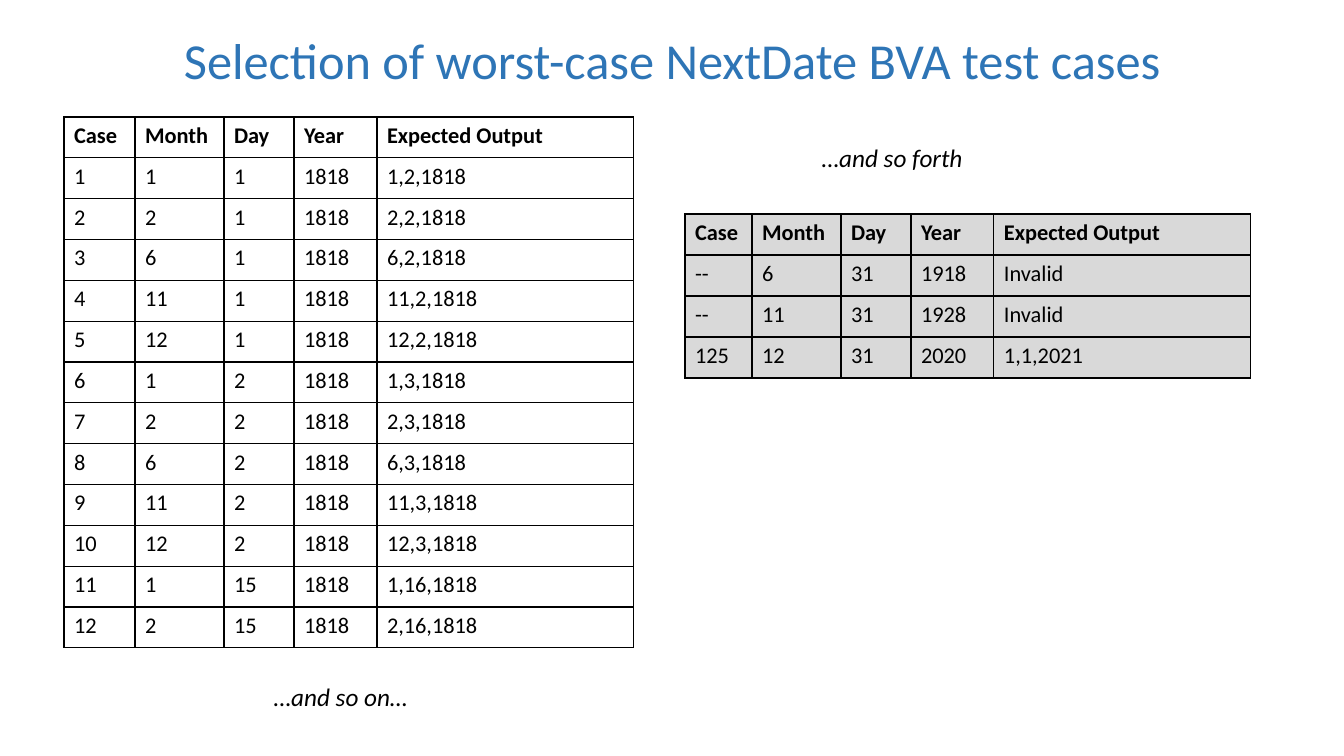
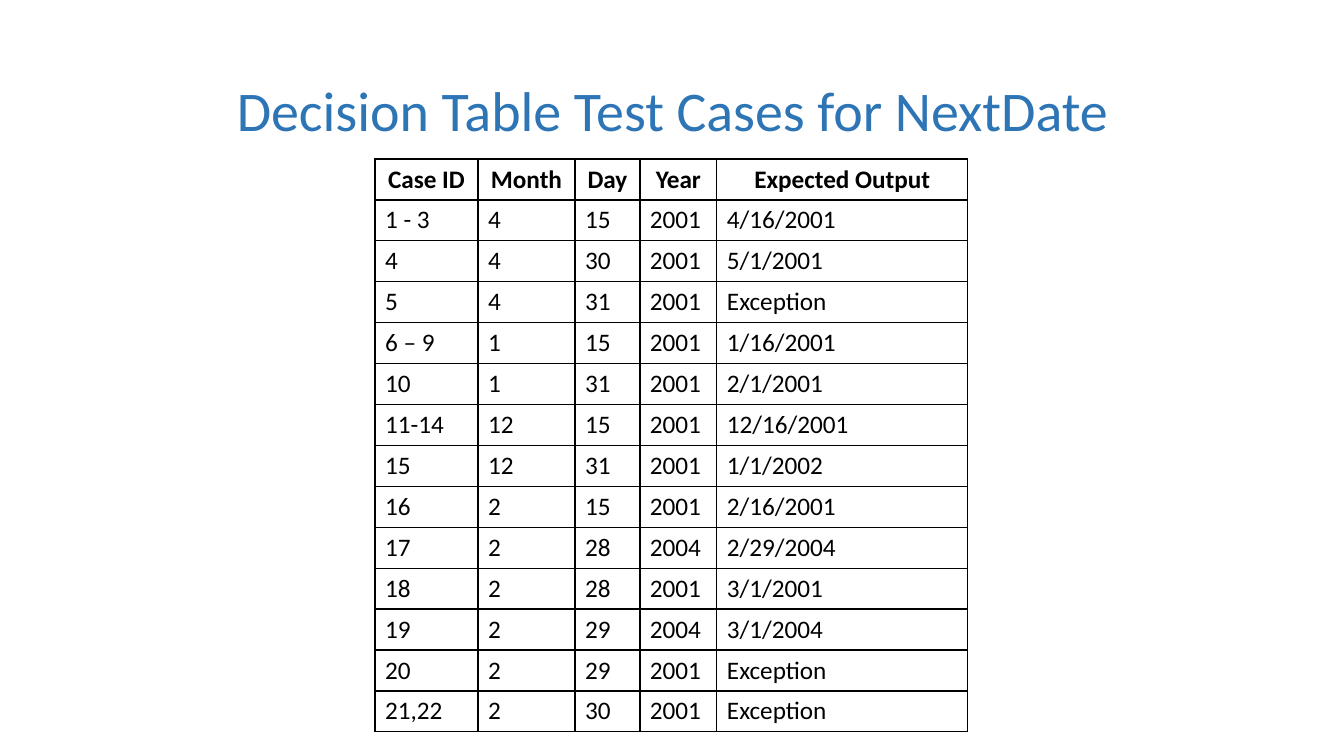
from pptx import Presentation
from pptx.dml.color import RGBColor
from pptx.enum.text import MSO_ANCHOR as Anchor, MSO_AUTO_SIZE as AutoSize, PP_ALIGN as Align
from pptx.oxml import parse_xml
from pptx.oxml.ns import nsdecls
from pptx.util import Emu, Pt

EMU_PER_INCH = 914400
PX_PER_INCH = 100.8
SLIDE_WIDTH, SLIDE_HEIGHT = 1344, 756

BLACK = RGBColor(0x00, 0x00, 0x00)
TITLE_BLUE = RGBColor(0x2E, 0x75, 0xB6)
PALE_GREY = RGBColor(0xD9, 0xD9, 0xD9)

BODY_FONT = {"name": "Calibri", "size": Pt(16), "bold": False, "italic": False}
HEADING_FONT = BODY_FONT | {"bold": True}
LARGE = {"size": Pt(18)}
NOTE_FONT = BODY_FONT | LARGE | {"italic": True}

BVA_HEADINGS = ("Case", "Month", "Day", "Year", "Expected Output")
FIRST_BVA_CASES = [
    ("1", "1", "1", "1818", "1,2,1818"),
    ("2", "2", "1", "1818", "2,2,1818"),
    ("3", "6", "1", "1818", "6,2,1818"),
    ("4", "11", "1", "1818", "11,2,1818"),
    ("5", "12", "1", "1818", "12,2,1818"),
    ("6", "1", "2", "1818", "1,3,1818"),
    ("7", "2", "2", "1818", "2,3,1818"),
    ("8", "6", "2", "1818", "6,3,1818"),
    ("9", "11", "2", "1818", "11,3,1818"),
    ("10", "12", "2", "1818", "12,3,1818"),
    ("11", "1", "15", "1818", "1,16,1818"),
    ("12", "2", "15", "1818", "2,16,1818"),
]
LAST_BVA_CASES = [
    ("--", "6", "31", "1918", "Invalid"),
    ("--", "11", "31", "1928", "Invalid"),
    ("125", "12", "31", "2020", "1,1,2021"),
]
DECISION_HEADINGS = ("Case ID", "Month", "Day", "Year", "Expected Output")
DECISION_CASES = [
    ("1 - 3", "4", "15", "2001", "4/16/2001"),
    ("4", "4", "30", "2001", "5/1/2001"),
    ("5", "4", "31", "2001", "Exception"),
    ("6 – 9", "1", "15", "2001", "1/16/2001"),
    ("10", "1", "31", "2001", "2/1/2001"),
    ("11-14", "12", "15", "2001", "12/16/2001"),
    ("15", "12", "31", "2001", "1/1/2002"),
    ("16", "2", "15", "2001", "2/16/2001"),
    ("17", "2", "28", "2004", "2/29/2004"),
    ("18", "2", "28", "2001", "3/1/2001"),
    ("19", "2", "29", "2004", "3/1/2004"),
    ("20", "2", "29", "2001", "Exception"),
    ("21,22", "2", "30", "2001", "Exception"),
]


def px(length):
    return Emu(round(length * EMU_PER_INCH / PX_PER_INCH))


def write(para, text, font_format, color=BLACK, align=Align.LEFT):
    para.alignment = align
    span = para.add_run()
    span.text = text
    for name, value in font_format.items():
        setattr(span.font, name, value)
    span.font.color.rgb = color


def add_title(page, text, top, height, size):
    box = page.shapes.add_textbox(px(93), px(top), px(1159), px(height))
    frame = box.text_frame
    frame.word_wrap = True
    frame.vertical_anchor = Anchor.MIDDLE
    para = frame.paragraphs[0]
    para.line_spacing = 0.9
    write(para, text, BODY_FONT | {"size": Pt(size)}, TITLE_BLUE, Align.CENTER)


def add_note(page, text, left, top, width):
    frame = page.shapes.add_textbox(px(left), px(top), px(width), px(41)).text_frame
    frame.word_wrap = False
    frame.auto_size = AutoSize.SHAPE_TO_FIT_TEXT
    write(frame.paragraphs[0], text, NOTE_FONT)


def outline(cell):
    properties = cell._tc.get_or_add_tcPr()
    for side in "LRTB":
        properties.append(parse_xml(
            f'<a:ln{side} {nsdecls("a")} w="{Pt(1)}"><a:solidFill>'
            f'<a:srgbClr val="{BLACK}"/></a:solidFill></a:ln{side}>'))


def add_case_table(page, box, columns, headings, cases,
                   fill=None, heading_align=Align.LEFT, font_change=None):
    """Fill the (left, top, height) box with equal rows below a bold heading row."""
    left, top, height = box
    rows = [headings, *cases]
    table = page.shapes.add_table(len(rows), len(columns), px(left), px(top),
                                  px(sum(columns)), px(height)).table
    table.first_row = table.horz_banding = False
    for column, width in zip(table.columns, columns):
        column.width = px(width)
    for row_index, texts in enumerate(rows):
        table.rows[row_index].height = px(height / len(rows))
        is_heading = row_index == 0
        font_format = (HEADING_FONT if is_heading else BODY_FONT) | (font_change or {})
        align = heading_align if is_heading else Align.LEFT
        for column_index, text in enumerate(texts):
            cell = table.cell(row_index, column_index)
            outline(cell)
            if fill is None:
                cell.fill.background()
            else:
                cell.fill.solid()
                cell.fill.fore_color.rgb = fill
            write(cell.text_frame.paragraphs[0], text, font_format, align=align)


def build_worst_case_slide(page):
    shared_columns = [89, 70, 83, 257]
    add_case_table(page, (64, 117, 531), [71, *shared_columns],
                   BVA_HEADINGS, FIRST_BVA_CASES)
    add_case_table(page, (685, 214, 164), [67, *shared_columns],
                   BVA_HEADINGS, LAST_BVA_CASES, fill=PALE_GREY)
    add_note(page, "…and so on…", 264, 676, 157)
    add_title(page, "Selection of worst-case NextDate BVA test cases", 0, 126, 36)
    add_note(page, "…and so forth", 812, 137, 162)


def build_decision_slide(page):
    add_title(page, "Decision Table Test Cases for NextDate", 40, 146, 40)
    add_case_table(page, (375, 159, 573), [103, 97, 65, 77, 251],
                   DECISION_HEADINGS, DECISION_CASES,
                   heading_align=Align.CENTER, font_change=LARGE)


def main():
    deck = Presentation()
    deck.slide_width, deck.slide_height = px(SLIDE_WIDTH), px(SLIDE_HEIGHT)
    blank = deck.slide_layouts[6]
    for build in (build_worst_case_slide, build_decision_slide):
        build(deck.slides.add_slide(blank))
    deck.save("out.pptx")


if __name__ == "__main__":
    main()
